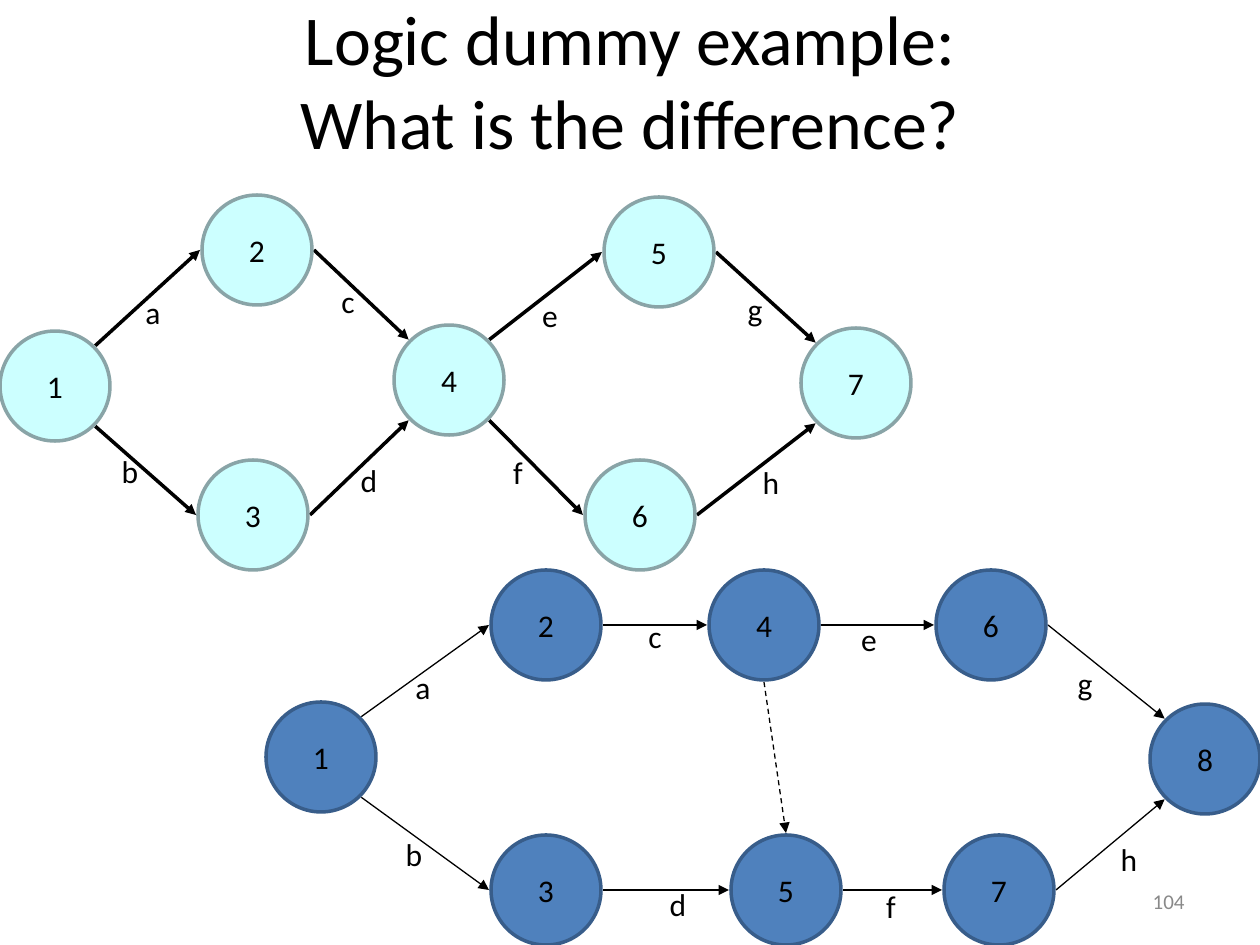
from dataclasses import dataclass
from math import cos, radians, sin

from pptx import Presentation
from pptx.dml.color import RGBColor
from pptx.enum.dml import MSO_LINE
from pptx.enum.shapes import MSO_CONNECTOR, MSO_SHAPE
from pptx.enum.text import MSO_ANCHOR, MSO_AUTO_SIZE, PP_ALIGN
from pptx.oxml.ns import qn
from pptx.util import Pt
from lxml.etree import SubElement

PX = 914400 / 126
NODE = 110
LABEL = (60, 50)
REACH = 57
ANGLES = {"right": 0, "lower right": 45, "bottom": 90, "lower left": 135,
          "left": 180, "upper left": 225, "top": 270, "upper right": 315}


@dataclass(frozen=True)
class Theme:
    """Colours, font and type sizes of the slide."""
    font: str = "Calibri"
    ink: str = "000000"
    muted: str = "898989"
    title: int = 40
    body: int = 18
    small: int = 12


@dataclass(frozen=True)
class Look:
    """Colours of a network's nodes and the weight of its arrows."""
    fill: str
    outline: str
    weight: float


THEME = Theme()
PALE = Look("CCFFFF", "89A4A7", 2)
BLUE = Look("4F81BD", "385D8A", 0.75)

MERGED_NODES = {"1": (0, 136), "2": (202, 0), "3": (198, 265), "4": (394, 130),
                "5": (604, 2), "6": (585, 265), "7": (801, 133)}
MERGED_EDGES = [
    ("1", "upper right", "2", "left"), ("1", "lower right", "3", "left"),
    ("2", "right", "4", "upper left"), ("3", "right", "4", "lower left"),
    ("4", "upper right", "5", "left"), ("4", "lower right", "6", "left"),
    ("5", "right", "7", "upper left"), ("6", "right", "7", "lower left"),
]
MERGED_LABELS = {"a": (123, 92), "b": (100, 251), "c": (318, 81), "d": (339, 260),
                 "e": (520, 95), "f": (488, 252), "g": (725, 89), "h": (741, 262)}

DUMMY_NODES = {"1": (0, 132), "2": (225, 0), "3": (225, 265), "4": (443, 0),
               "5": (465, 265), "6": (670, 0), "7": (678, 265), "8": (884, 134)}
DUMMY_EDGES = [
    ("1", "upper right", "2", "left"), ("1", "lower right", "3", "left"),
    ("2", "right", "4", "left"), ("3", "right", "5", "left"),
    ("4", "right", "6", "left"), ("5", "right", "7", "left"),
    ("6", "right", "8", "upper left"), ("7", "right", "8", "lower left"),
    ("4", "bottom", "5", "top"),
]
DUMMY_LABELS = {"a": (127, 92), "b": (118, 259), "c": (359, 41), "d": (382, 309),
                "e": (573, 44), "f": (595, 311), "g": (789, 88), "h": (833, 264)}


def emu(*lengths):
    """Turn px lengths into EMU."""
    return [round(length * PX) for length in lengths]


def write(shape, text, size=THEME.body, color=THEME.ink, align=PP_ALIGN.CENTER):
    """Put formatted text, centred vertically, into a shape."""
    frame = shape.text_frame
    frame.word_wrap = True
    frame.auto_size = MSO_AUTO_SIZE.NONE
    frame.vertical_anchor = MSO_ANCHOR.MIDDLE
    para = frame.paragraphs[0]
    para.text = text
    para.alignment = align
    for span in para.runs:
        span.font.name = THEME.font
        span.font.size = Pt(size)
        span.font.color.rgb = RGBColor.from_string(color)


def add_title(page, left, top, width, height):
    """Fill the title placeholder."""
    title = page.shapes.title
    title.left, title.top, title.width, title.height = emu(left, top, width, height)
    write(title, "Logic dummy example:\vWhat is the difference?", size=THEME.title)


def add_page_number(page, left, top, width, height):
    """Add the page number."""
    box = page.shapes.add_textbox(*emu(left, top, width, height))
    write(box, "104", size=THEME.small, color=THEME.muted, align=PP_ALIGN.RIGHT)


def add_node(group, left, top, text, look):
    """Add one numbered event circle."""
    node = group.shapes.add_shape(MSO_SHAPE.FLOWCHART_CONNECTOR, *emu(left, top, NODE, NODE))
    node.shadow.inherit = False
    node.fill.solid()
    node.fill.fore_color.rgb = RGBColor.from_string(look.fill)
    node.line.color.rgb = RGBColor.from_string(look.outline)
    node.line.width = Pt(2)
    write(node, text)


def rim(left, top, side):
    """Return the point just outside a node on the named side."""
    angle = radians(ANGLES[side])
    return left + NODE / 2 + REACH * cos(angle), top + NODE / 2 + REACH * sin(angle)


def add_arrow(group, start, end, weight, dashed):
    """Add an activity arrow between two points."""
    arrow = group.shapes.add_connector(MSO_CONNECTOR.STRAIGHT, *emu(*start, *end))
    arrow.line.color.rgb = RGBColor.from_string(THEME.ink)
    arrow.line.width = Pt(weight)
    if dashed:
        arrow.line.dash_style = MSO_LINE.DASH
    properties = arrow.element.spPr
    SubElement(properties.find(qn("a:ln")), qn("a:tailEnd"), type="triangle")
    SubElement(properties, qn("a:effectLst"))


def add_network(page, left, top, nodes, edges, labels, look):
    """Add a grouped activity network with its corner at left, top."""
    group = page.shapes.add_group_shape()
    places = {name: (left + x, top + y) for name, (x, y) in nodes.items()}
    for source, source_side, target, target_side in edges:
        add_arrow(group, rim(*places[source], source_side), rim(*places[target], target_side),
                  look.weight, dashed=source_side == "bottom")
    for name, place in places.items():
        add_node(group, *place, name, look)
    for name, (x, y) in labels.items():
        write(group.shapes.add_textbox(*emu(left + x, top + y, *LABEL)), name)


def main():
    """Build and save the slide."""
    deck = Presentation()
    deck.slide_width, deck.slide_height = emu(1260, 945)
    page = deck.slides.add_slide(deck.slide_layouts[5])
    add_title(page, 63, 1, 1134, 158)
    add_network(page, 0, 195, MERGED_NODES, MERGED_EDGES, MERGED_LABELS, PALE)
    add_network(page, 266, 570, DUMMY_NODES, DUMMY_EDGES, DUMMY_LABELS, BLUE)
    add_page_number(page, 903, 876, 294, 50)
    deck.save("out.pptx")


if __name__ == "__main__":
    main()
